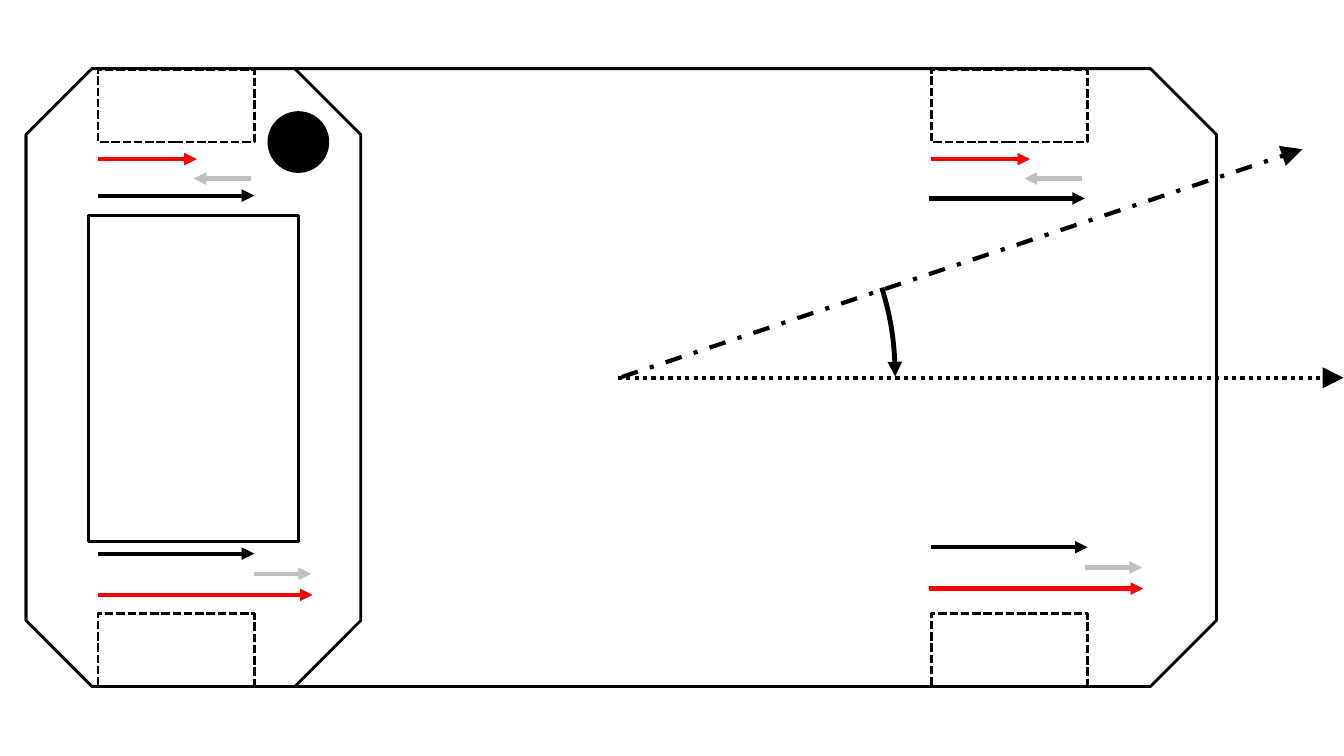
"""Draw the top view of a four-wheeled vehicle with wheel forces and a heading correction."""
from dataclasses import dataclass

from lxml import etree
from pptx import Presentation
from pptx.dml.color import RGBColor
from pptx.enum.dml import MSO_LINE
from pptx.enum.shapes import MSO_CONNECTOR, MSO_SHAPE
from pptx.oxml.ns import qn
from pptx.util import Cm, Pt

STRAIGHT = MSO_CONNECTOR.STRAIGHT
OCTAGON, RECTANGLE = MSO_SHAPE.OCTAGON, MSO_SHAPE.RECTANGLE
OVAL, ARC = MSO_SHAPE.OVAL, MSO_SHAPE.ARC
WHEEL_DASH, DOTTED, DASH_DOT = MSO_LINE.SQUARE_DOT, MSO_LINE.ROUND_DOT, MSO_LINE.DASH_DOT


@dataclass(frozen=True)
class Theme:
    black: RGBColor = RGBColor(0, 0, 0)
    white: RGBColor = RGBColor(255, 255, 255)
    red: RGBColor = RGBColor(255, 0, 0)
    grey: RGBColor = RGBColor(0xBF, 0xBF, 0xBF)
    thin: float = 1
    outline: float = 2
    arrow: float = 3
    turn: float = 3.5


class Diagram:
    def __init__(self, slide, theme):
        self.slide = slide
        self.theme = theme

    def style_line(self, shape, color, width, dash=None, head=None):
        shape.line.color.rgb = color
        for name, value in {"width": Pt(width), "dash_style": dash}.items():
            setattr(shape.line, name, value)
        if head:
            line_element = shape._element.spPr.find(qn("a:ln"))
            etree.SubElement(line_element, qn("a:tailEnd"), type="triangle", w=head, len=head)

    def shape(self, kind, box, fill=None, width=None, dash=None, head=None,
              adjustments=(), rotation=0):
        shape = self.slide.shapes.add_shape(kind, *map(Cm, box))
        shape.shadow.inherit = False
        shape.rotation = rotation
        for index, value in enumerate(adjustments):
            shape.adjustments[index] = value
        if fill is None:
            shape.fill.background()
        else:
            shape.fill.solid()
            shape.fill.fore_color.rgb = fill
        self.style_line(shape, self.theme.black, width or self.theme.outline, dash, head)

    def arrow(self, start, end, color, dash=None, head="med"):
        connector = self.slide.shapes.add_connector(STRAIGHT, *map(Cm, (*start, *end)))
        self.style_line(connector, color, self.theme.arrow, dash, head)
        etree.SubElement(connector._element.spPr, qn("a:effectLst"))

    def force(self, left, top, length, color):
        self.arrow((left, top), (left + length, top), color)


def main():
    presentation = Presentation()
    presentation.slide_width, presentation.slide_height = Cm(33.87), Cm(19.05)
    slide = presentation.slides.add_slide(presentation.slide_layouts[6])
    theme = Theme()
    diagram = Diagram(slide, theme)

    diagram.shape(OCTAGON, (0.66, 1.73, 30, 15.57), theme.white, adjustments=[0.107])
    diagram.shape(OCTAGON, (0.66, 1.73, 8.43, 15.57), theme.white, adjustments=[0.197])
    diagram.shape(RECTANGLE, (2.24, 5.44, 5.28, 8.2), theme.white)
    diagram.shape(OVAL, (6.76, 2.82, 1.52, 1.52), theme.black, theme.thin)

    rear, front = 2.47, 23.47
    wheel_length, wheel_width = 3.94, 1.83
    for left in (rear, front):
        for top in (1.75, 15.47):
            diagram.shape(RECTANGLE, (left, top, wheel_length, wheel_width), dash=WHEEL_DASH)

    diagram.arrow((15.57, 9.52), (33.86, 9.52), theme.black, DOTTED, "lg")
    diagram.arrow((15.67, 9.5), (32.82, 3.76), theme.black, DASH_DOT, "lg")

    drive, change = wheel_length, 1.44
    reduced, increased = 2.49, 5.41
    forces = [
        (front - 0.07, 5, drive, theme.black),
        (rear, 4.93, drive, theme.black),
        (rear, 13.95, drive, theme.black),
        (front, 13.79, drive, theme.black),
        (27.26, 4.5, -change, theme.grey),
        (6.32, 4.5, -change, theme.grey),
        (27.34, 14.3, change, theme.grey),
        (6.4, 14.46, change, theme.grey),
        (front, 4.01, reduced, theme.red),
        (rear, 4.01, reduced, theme.red),
        (front - 0.07, 14.83, increased, theme.red),
        (rear, 14.99, increased, theme.red),
    ]
    for force in forces:
        diagram.force(*force)

    diagram.shape(ARC, (7.14, 1.8, 15.42, 15.42), width=theme.turn, head="med",
                  adjustments=[151.78, 161.9], rotation=90)
    presentation.save("out.pptx")


if __name__ == "__main__":
    main()
